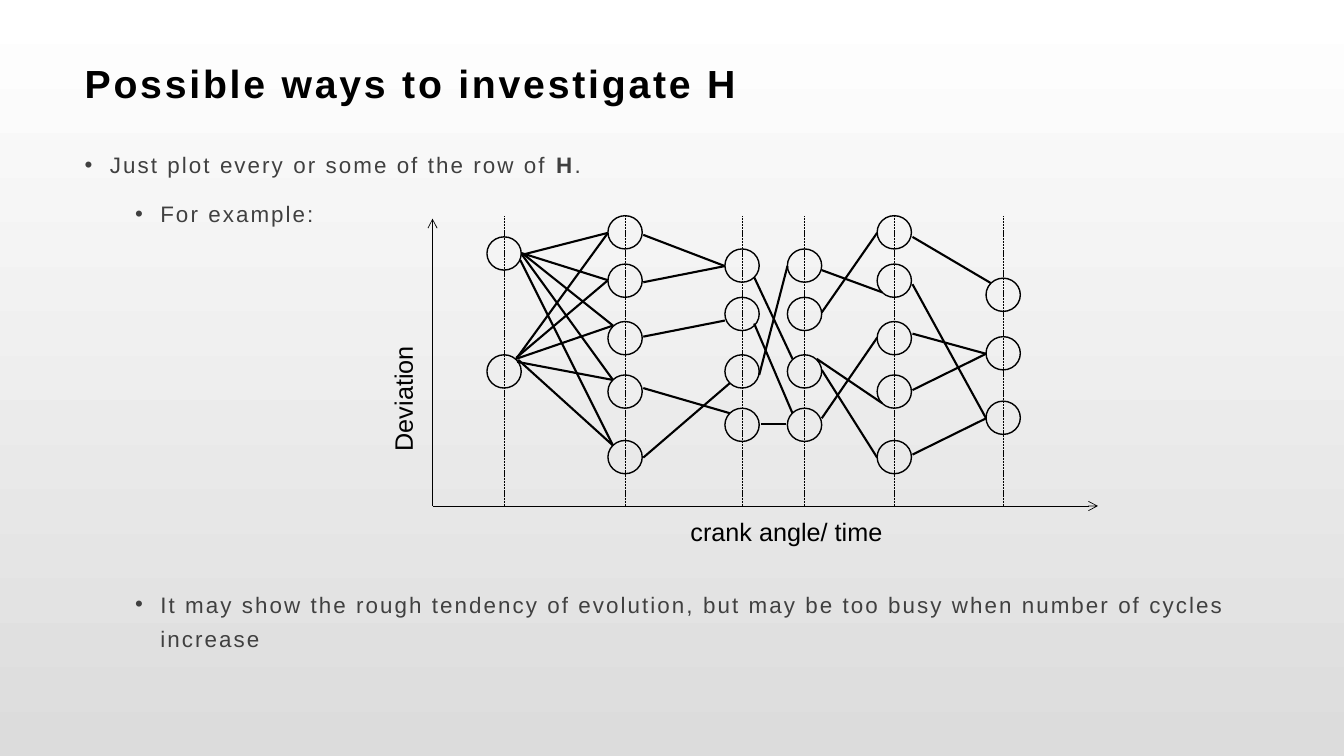
"""Build the slide on ways to investigate H, with a network of deviations over time."""
from lxml.etree import SubElement
from pptx import Presentation
from pptx.dml.color import RGBColor
from pptx.enum.dml import MSO_LINE
from pptx.enum.shapes import MSO_CONNECTOR, MSO_SHAPE
from pptx.enum.text import MSO_ANCHOR, MSO_AUTO_SIZE, PP_ALIGN
from pptx.oxml.ns import qn
from pptx.util import Inches, Pt


def write(p, text, size=16, color="404040", bold=False, spacing=0):
    r = p.add_run()
    r.text = text
    r.font.name = "Arial"
    r.font.size = Pt(size)
    r.font.bold = bold
    r.font.color.rgb = RGBColor.from_string(color)
    r.font._element.set("spc", str(int(spacing * 100)))


def draw_line(x1, y1, x2, y2, width=1.5, dash=None, arrow=False):
    c = s.shapes.add_connector(
        MSO_CONNECTOR.STRAIGHT, Inches(x1), Inches(y1), Inches(x2), Inches(y2))
    c.line.color.rgb = RGBColor.from_string("000000")
    c.line.width = Pt(width)
    if dash:
        c.line.dash_style = dash
    if arrow:
        SubElement(c.line._get_or_add_ln(), qn("a:tailEnd"), type="arrow")
    SubElement(c._element.spPr, qn("a:effectLst"))


prs = Presentation()
prs.slide_width = Inches(13.33)
prs.slide_height = Inches(7.5)
s = prs.slides.add_slide(prs.slide_layouts[1])

fill = s.background.fill
fill.gradient()
fill.gradient_angle = 270
for stop, position, color in zip(fill.gradient_stops, (0, 1), ("FFFFFF", "DCDCDC")):
    stop.position = position
    stop.color.rgb = RGBColor.from_string(color)

title, body = s.placeholders
for sp, top, height, inset, anchor in (
        (title, 0.47, 0.71, 0.04, MSO_ANCHOR.MIDDLE),
        (body, 1.42, 5.51, 0, MSO_ANCHOR.TOP)):
    sp.left, sp.top = Inches(0.73), Inches(top)
    sp.width, sp.height = Inches(11.87), Inches(height)
    tf = sp.text_frame
    tf.word_wrap = True
    tf.auto_size = MSO_AUTO_SIZE.NONE
    tf.vertical_anchor = anchor
    tf.margin_left, tf.margin_right = Inches(0.11), Inches(0.09)
    tf.margin_top = tf.margin_bottom = Inches(inset)

p = title.text_frame.paragraphs[0]
p.alignment = PP_ALIGN.LEFT
write(p, "Possible ways to investigate H", size=28, color="000000", bold=True, spacing=2)

bullets = [
    (0, 0, [("Just plot every or some of the row of ", False), ("H", True), (".", False)]),
    (1, 0, [("For example:", False)]),
    (1, 244, [("It may show the rough tendency of evolution, but may be too busy "
               "when number of cycles increase", False)]),
]
tf = body.text_frame
for i, (level, before, runs) in enumerate(bullets):
    p = tf.add_paragraph() if i else tf.paragraphs[0]
    p.level = level
    p.line_spacing = 1.3
    p.space_before = Pt(before)
    p.space_after = Pt(10)
    pPr = p._p.get_or_add_pPr()
    pPr.set("marL", str(Inches(0.25 + 0.5 * level)))
    pPr.set("indent", str(Inches(-0.25)))
    SubElement(pPr, qn("a:buFont"), typeface="Arial")
    SubElement(pPr, qn("a:buChar"), char="•")
    for text, bold in runs:
        write(p, text, bold=bold, spacing=1.5)

draw_line(4.29, 5.02, 4.29, 2.17, width=0.5, arrow=True)
draw_line(4.29, 5.02, 10.89, 5.02, width=0.5, arrow=True)

for text, left, top, width, angle in (
        ("crank angle/ time", 6.75, 5.07, 2.13, 0),
        ("Deviation", 3.07, 3.35, 1.95, -90)):
    sp = s.shapes.add_textbox(Inches(left), Inches(top), Inches(width), Inches(0.4 if not angle else 0.5))
    sp.rotation = angle
    sp.text_frame.word_wrap = True
    write(sp.text_frame.paragraphs[0], text, size=18, color="000000")

five_nodes = (2.14, 2.62, 3.19, 3.72, 4.37)
four_nodes = (2.47, 2.95, 3.52, 4.05)
columns = [
    (5, (2.35, 3.52)),
    (6.2, five_nodes),
    (7.36, four_nodes),
    (7.98, four_nodes),
    (8.87, five_nodes),
    (9.95, (2.76, 3.34, 3.98)),
]
for x, tops in columns:
    draw_line(x, 5.02, x, 2.14, width=0.5, dash=MSO_LINE.SQUARE_DOT)
    for top in tops:
        node = s.shapes.add_shape(
            MSO_SHAPE.OVAL, Inches(x - 0.17), Inches(top), Inches(0.34), Inches(0.33))
        node.shadow.inherit = False
        node.fill.background()
        node.line.color.rgb = RGBColor.from_string("000000")
        node.line.width = Pt(1)

links = [
    (6.03, 2.31, 5.17, 2.53), (6.03, 2.78, 5.17, 2.51), (6.08, 3.23, 5.19, 2.52),
    (6.08, 3.77, 5.18, 2.53), (6.08, 4.42, 5.16, 2.58), (6.03, 2.31, 5.12, 3.56),
    (6.03, 2.78, 5.12, 3.55), (6.08, 3.23, 5.12, 3.56), (6.08, 3.77, 5.13, 3.59),
    (6.08, 4.42, 5.14, 3.57),
    (7.19, 2.64, 6.38, 2.33), (7.19, 2.64, 6.38, 2.8), (7.19, 3.18, 6.38, 3.34),
    (7.24, 4.1, 6.38, 3.85), (7.24, 3.8, 6.38, 4.54),
    (7.86, 3.56, 7.48, 2.75), (7.86, 4.1, 7.48, 3.21), (7.81, 2.64, 7.53, 3.72),
    (7.8, 4.21, 7.55, 4.21),
    (8.75, 2.9, 8.15, 2.68), (8.7, 2.31, 8.15, 3.1), (8.7, 4.54, 8.15, 3.67),
    (8.7, 3.35, 8.15, 4.15), (8.75, 4, 8.1, 3.56),
    (9.83, 2.81, 9.05, 2.35), (9.78, 4.15, 9.05, 2.82), (9.78, 3.51, 9.05, 3.31),
    (9.78, 3.51, 9.05, 3.87), (9.78, 4.15, 9.05, 4.51),
]
for link in links:
    draw_line(*link)

prs.save("out.pptx")
